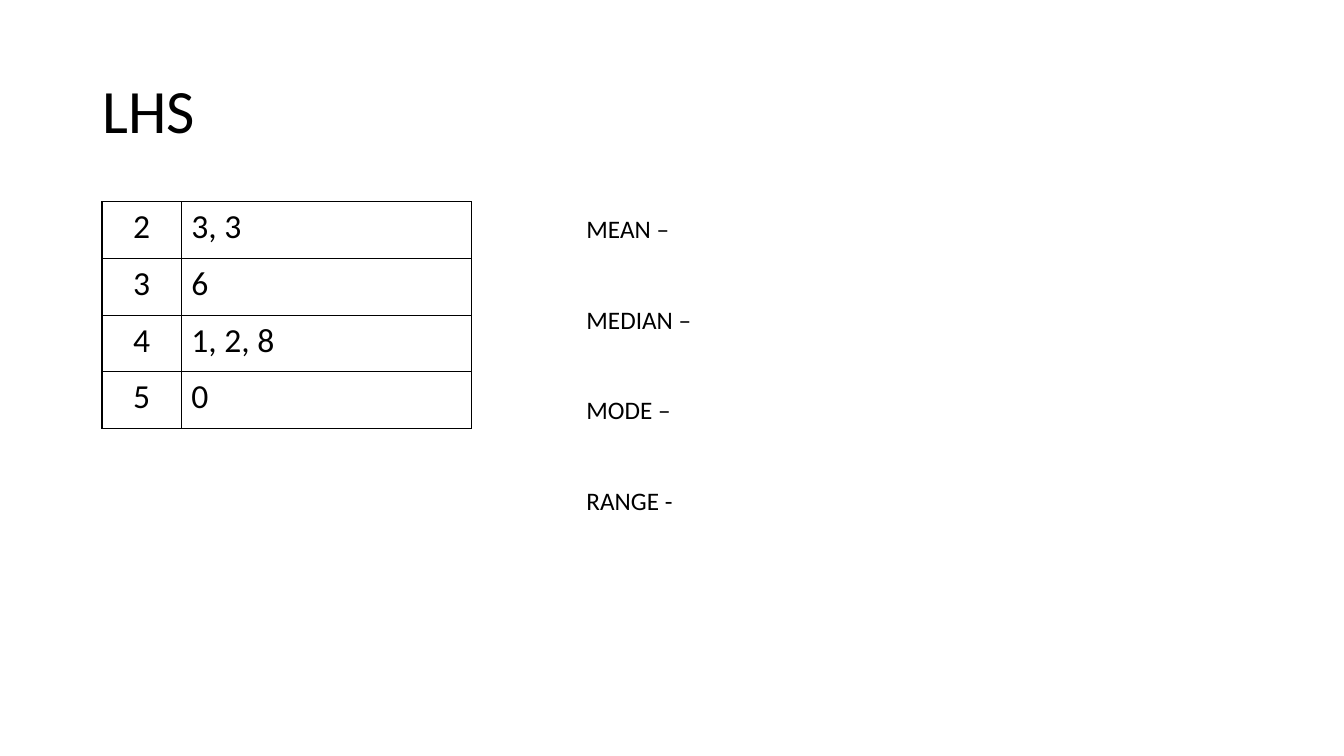
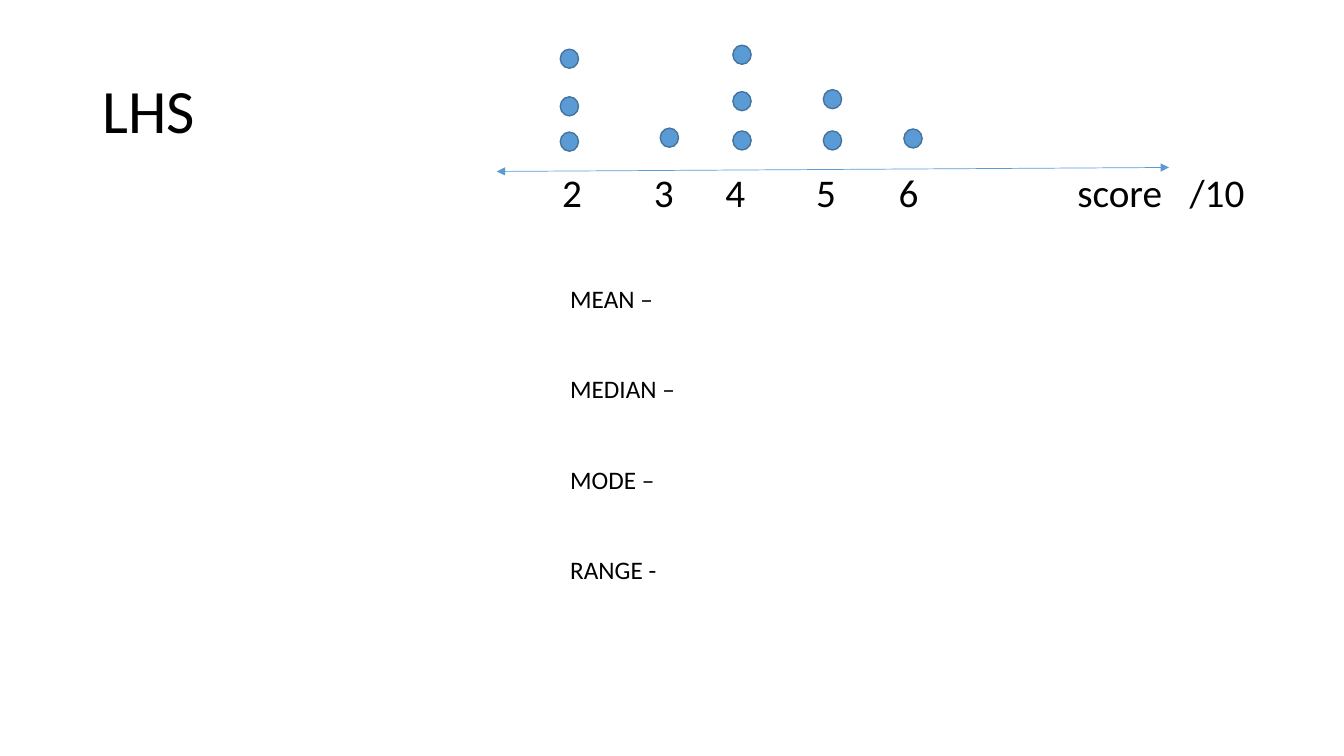
import pptx
import pptx.util
import pptx.dml.color
import pptx.enum.shapes
import pptx.enum.text
import pptx.oxml.ns
from lxml import etree

Cm = pptx.util.Cm
Pt = pptx.util.Pt
qn = pptx.oxml.ns.qn
ALIGN = pptx.enum.text.PP_ALIGN
ANCHOR = pptx.enum.text.MSO_ANCHOR
SHAPE = pptx.enum.shapes.MSO_SHAPE
LINE = pptx.enum.shapes.MSO_CONNECTOR

FONT = "Calibri"
BLACK, WHITE, BLUE, EDGE = "000000", "FFFFFF", "5B9BD5", "43739E"

TITLE = "LHS"
STATS = ["MEAN –", "MEDIAN –", "MODE –", "RANGE -"]
LEAVES = [("2", "3, 3"), ("3", "6"), ("4", "1, 2, 8"), ("5", "0")]
WIDTHS = (2, 7.31)
ROW = 1.43

MARKS = [
    ("2", 11.84, "ctr"),
    ("3", 14.15, "ctr"),
    ("4", 15.95, "ctr"),
    ("5", 18.24, "ctr"),
    ("6", 20.32, "ctr"),
    ("score", 24.57, "l"),
    ("/10", 27.4, "l"),
]
DOTS = [
    (14.12, (3.33, 2.44, 1.24)),
    (16.64, (3.23,)),
    (18.47, (3.3, 2.31, 1.14)),
    (20.75, (3.3, 2.26)),
    (22.78, (3.25,)),
]
DOT = (0.46, 0.48)


def tint(code):
    return pptx.dml.color.RGBColor.from_string(code)


def paint(part, code):
    part.fill.solid()
    part.fill.fore_color.rgb = tint(code)


def write(para, text, size):
    run = para.add_run()
    run.text = text
    run.font.name = FONT
    run.font.size = Pt(size)
    run.font.color.rgb = tint(BLACK)


def add_box(slide, left, top, width, height):
    frame = slide.shapes.add_textbox(Cm(left), Cm(top), Cm(width), Cm(height)).text_frame
    frame.word_wrap = True
    return frame


def add_title(slide):
    frame = add_box(slide, 2.33, 1.01, 29.21, 3.68)
    frame.vertical_anchor = ANCHOR.MIDDLE
    para = frame.paragraphs[0]
    para.line_spacing = 0.9
    write(para, TITLE, 44)


def add_stats(slide, left, top):
    frame = add_box(slide, left, top, 15.34, 7.95)
    for row, text in enumerate(STATS):
        para = frame.add_paragraph() if row else frame.paragraphs[0]
        if row:
            para.space_before = Pt(43)
        write(para, text, 18)


def add_edges(cell):
    props = cell._tc.get_or_add_tcPr()
    for side in ("lnL", "lnR", "lnT", "lnB"):
        edge = etree.SubElement(props, qn("a:" + side), w=str(Pt(1)))
        fill = etree.SubElement(edge, qn("a:solidFill"))
        etree.SubElement(fill, qn("a:srgbClr"), val=BLACK)


def add_leaves(slide):
    frame = slide.shapes.add_table(
        len(LEAVES), len(WIDTHS), Cm(2.57), Cm(5.08),
        Cm(sum(WIDTHS)), Cm(ROW * len(LEAVES)))
    table = frame.table
    table.first_row = table.horz_banding = False
    for col, width in enumerate(WIDTHS):
        table.columns[col].width = Cm(width)
    for row, texts in enumerate(LEAVES):
        table.rows[row].height = Cm(ROW)
        for col, text in enumerate(texts):
            cell = table.cell(row, col)
            add_edges(cell)
            paint(cell, WHITE)
            para = cell.text_frame.paragraphs[0]
            para.alignment = ALIGN.LEFT if col else ALIGN.CENTER
            write(para, text, 24)


def add_marks(slide):
    para = add_box(slide, 2.33, 4.24, 30.05, 1.5).paragraphs[0]
    para.line_spacing = 0.9
    stops = etree.SubElement(para._p.get_or_add_pPr(), qn("a:tabLst"))
    for text, place, side in MARKS:
        etree.SubElement(stops, qn("a:tab"), pos=str(Cm(place)), algn=side)
        write(para, "\t" + text, 28)


def add_axis(slide):
    axis = slide.shapes.add_connector(
        LINE.STRAIGHT, Cm(12.52), Cm(4.32), Cm(29.46), Cm(4.22))
    axis.line.color.rgb = tint(BLUE)
    axis.line.width = Pt(0.5)
    stroke = axis.line._get_or_add_ln()
    for end in ("headEnd", "tailEnd"):
        etree.SubElement(stroke, qn("a:" + end), type="triangle")
    etree.SubElement(axis._element.spPr, qn("a:effectLst"))


def add_dots(slide):
    for left, tops in DOTS:
        for top in tops:
            dot = slide.shapes.add_shape(
                SHAPE.OVAL, Cm(left), Cm(top), Cm(DOT[0]), Cm(DOT[1]))
            dot.shadow.inherit = False
            paint(dot, BLUE)
            dot.line.color.rgb = tint(EDGE)
            dot.line.width = Pt(1)


def add_slide(deck):
    slide = deck.slides.add_slide(deck.slide_layouts[6])
    add_title(slide)
    return slide


def main():
    deck = pptx.Presentation()
    deck.slide_width = Cm(33.87)
    deck.slide_height = Cm(19.05)

    stem = add_slide(deck)
    add_leaves(stem)
    add_stats(stem, 14.53, 5.26)

    plot = add_slide(deck)
    add_marks(plot)
    add_stats(plot, 14.12, 7.01)
    add_axis(plot)
    add_dots(plot)

    deck.save("out.pptx")


if __name__ == "__main__":
    main()
